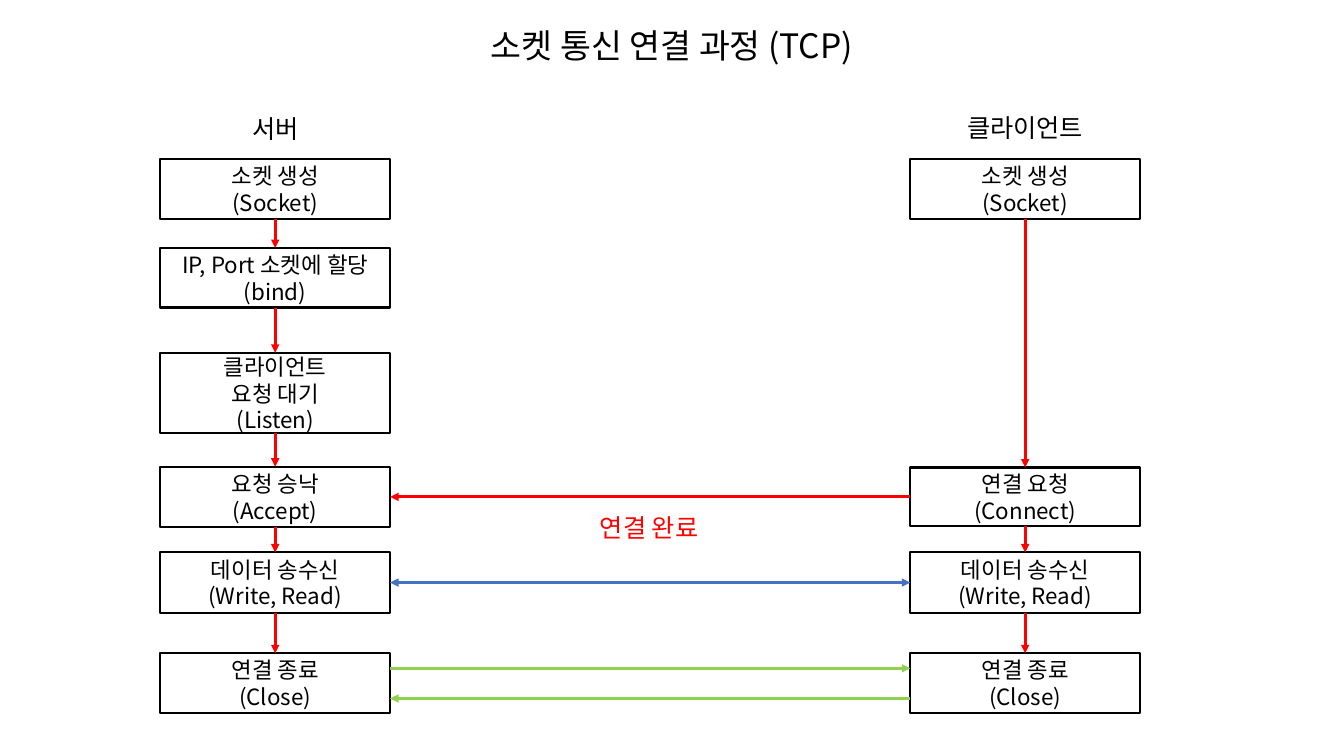
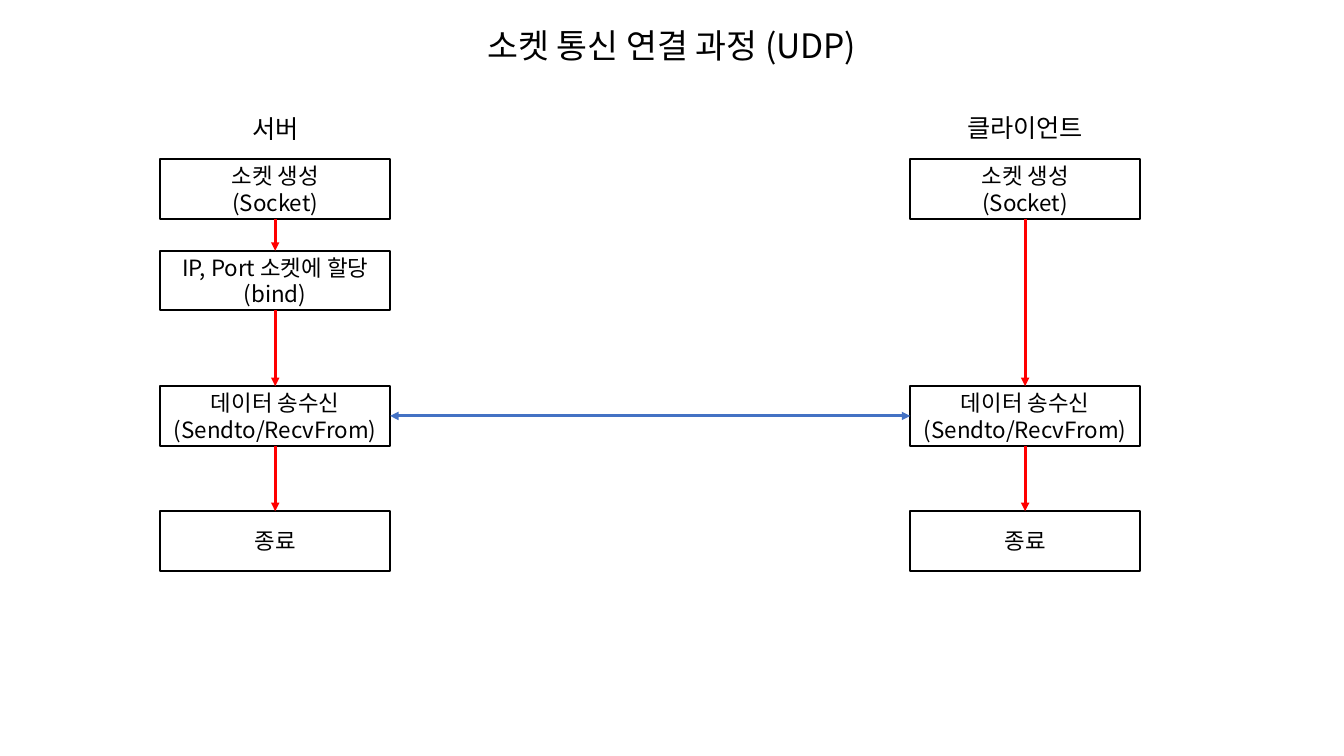
"""Builds two slides on how TCP and UDP socket connections proceed."""
from lxml import etree
from pptx import Presentation
from pptx.dml.color import RGBColor
from pptx.enum.shapes import MSO_CONNECTOR, MSO_SHAPE
from pptx.enum.text import MSO_ANCHOR, MSO_AUTO_SIZE, PP_ALIGN
from pptx.oxml.ns import qn
from pptx.util import Cm, Pt

RECT = MSO_SHAPE.RECTANGLE
STRAIGHT = MSO_CONNECTOR.STRAIGHT
CENTER = PP_ALIGN.CENTER
TOP, MIDDLE = MSO_ANCHOR.TOP, MSO_ANCHOR.MIDDLE
NO_FIT = MSO_AUTO_SIZE.NONE

FONT = "Noto Sans CJK KR"
BLACK, WHITE = "000000", "FFFFFF"
RED, BLUE, GREEN = "FF0000", "4472C4", "92D050"
rgb = RGBColor.from_string

SLIDE_W, SLIDE_H = 33.87, 19.05
SERVER_X, CLIENT_X, BOX_W = 4.04, 22.94, 5.79


def write(sp, text, size=16, color=BLACK, anchor=MIDDLE, wrap=True):
    tf = sp.text_frame
    tf.auto_size = NO_FIT
    tf.word_wrap = wrap
    tf.vertical_anchor = anchor
    for i, line in enumerate(text.split("\n")):
        p = tf.add_paragraph() if i else tf.paragraphs[0]
        p.alignment = CENTER
        r = p.add_run()
        r.text = line
        r.font.name = FONT
        r.font.size = Pt(size)
        r.font.color.rgb = rgb(color)
        etree.SubElement(r.font._element, qn("a:ea"), typeface=FONT)


def link(s, color, points=(0, 0, 0, 0), both=False):
    c = s.shapes.add_connector(STRAIGHT, *[Cm(v) for v in points])
    c.line.color.rgb = rgb(color)
    c.line.width = Pt(2)
    pr = c._element.spPr
    ln = pr.find(qn("a:ln"))
    if both:
        etree.SubElement(ln, qn("a:headEnd"), type="triangle")
    etree.SubElement(ln, qn("a:tailEnd"), type="triangle")
    etree.SubElement(pr, qn("a:effectLst"))
    return c


SOCKET = (4.01, 1.5, "소켓 생성\n(Socket)")
BIND = "IP, Port 소켓에 할당\n(bind)"
TCP_END = [
    (13.92, 1.52, "데이터 송수신\n(Write, Read)"),
    (16.46, 1.5, "연결 종료\n(Close)"),
]
UDP_END = [
    (9.73, 1.5, "데이터 송수신\n(Sendto/RecvFrom)"),
    (12.88, 1.5, "종료"),
]
TCP_SERVER = [
    SOCKET,
    (6.25, 1.5, BIND),
    (8.89, 2.03, "클라이언트\n요청 대기\n(Listen)"),
    (11.76, 1.52, "요청 승낙\n(Accept)"),
] + TCP_END
TCP_CLIENT = [SOCKET, (11.78, 1.48, "연결 요청\n(Connect)")] + TCP_END
UDP_SERVER = [SOCKET, (6.32, 1.5, BIND)] + UDP_END
UDP_CLIENT = [SOCKET] + UDP_END

CONNECT = (-3, RED, False)
TRANSFER = (-2, BLUE, True)
FLOWS = [
    ("소켓 통신 연결 과정 (TCP)", 10.54, TCP_SERVER, TCP_CLIENT, [CONNECT, TRANSFER]),
    ("소켓 통신 연결 과정 (UDP)", 10.8, UDP_SERVER, UDP_CLIENT, [TRANSFER]),
]
HEADS = [("서버", 6.05, 1.8, 2.72), ("클라이언트", 23.98, 3.71, 2.7)]

prs = Presentation()
prs.slide_width, prs.slide_height = Cm(SLIDE_W), Cm(SLIDE_H)

for title, title_w, server, client, messages in FLOWS:
    s = prs.slides.add_slide(prs.slide_layouts[5])
    sp = s.shapes.title
    sp.left, sp.top = Cm((SLIDE_W - title_w) / 2), Cm(0.5)
    sp.width, sp.height = Cm(title_w), Cm(1.28)
    write(sp, title, size=24, anchor=TOP, wrap=False)

    for text, x, w, y in HEADS:
        sp = s.shapes.add_textbox(Cm(x), Cm(y), Cm(w), Cm(1.02))
        write(sp, text, size=18, anchor=TOP, wrap=False)

    columns = []
    for x, steps in ((SERVER_X, server), (CLIENT_X, client)):
        boxes = []
        for y, h, text in steps:
            sp = s.shapes.add_shape(RECT, Cm(x), Cm(y), Cm(BOX_W), Cm(h))
            sp.shadow.inherit = False
            sp.fill.solid()
            sp.fill.fore_color.rgb = rgb(WHITE)
            sp.line.color.rgb = rgb(BLACK)
            sp.line.width = Pt(1.5)
            write(sp, text)
            boxes.append(sp)
        for upper, lower in zip(boxes, boxes[1:]):
            c = link(s, RED)
            c.begin_connect(upper, 2)
            c.end_connect(lower, 0)
        columns.append(boxes)

    server_boxes, client_boxes = columns
    for i, color, both in messages:
        c = link(s, color, both=both)
        c.begin_connect(client_boxes[i], 1)
        c.end_connect(server_boxes[i], 3)

tcp = prs.slides[0]
sp = tcp.shapes.add_textbox(Cm(14.71), Cm(12.78), Cm(3.3), Cm(1.02))
write(sp, "연결 완료", size=18, color=RED, anchor=TOP, wrap=False)
server_right = SERVER_X + BOX_W
link(tcp, GREEN, (server_right, 16.84, CLIENT_X, 16.84))
link(tcp, GREEN, (CLIENT_X, 17.6, server_right, 17.6))

prs.save("out.pptx")
